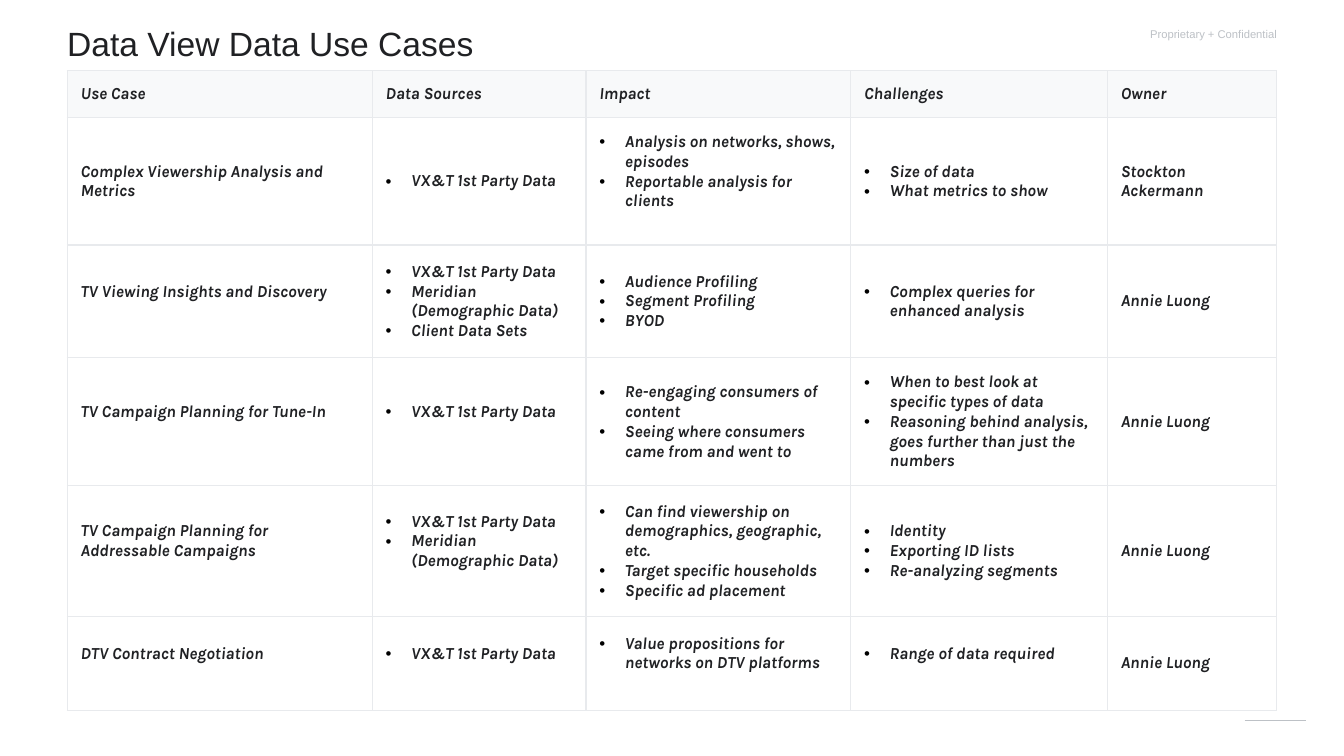
from dataclasses import dataclass

from lxml.etree import SubElement
from pptx import Presentation
from pptx.dml.color import RGBColor
from pptx.enum.shapes import MSO_CONNECTOR
from pptx.enum.text import MSO_ANCHOR, PP_ALIGN
from pptx.oxml.ns import qn
from pptx.util import Inches, Pt


@dataclass(frozen=True)
class Theme:
    ink: str = "202124"
    muted: str = "BDC1C6"
    border: str = "E8EAED"
    header_fill: str = "F8F9FA"
    bullet: str = "000000"
    heading_font: str = "Arial"
    table_font: str = "Karla"
    title_size: float = 18
    table_size: float = 9
    label_size: float = 6
    line_width: float = 0.75


def write_text(paragraph, text, *, font, size, color, bold=False, italic=False):
    run = paragraph.add_run()
    run.text = text
    run.font.name = font
    run.font.size = Pt(size)
    run.font.bold = bold
    run.font.italic = italic
    run.font.color.rgb = RGBColor.from_string(color)


class SlideBuilder:
    """Places elements on a grid of 100 columns; rows have the same pitch."""

    COLUMNS = 100
    PADDING = 1
    RAISE = 1.45
    BULLET_INDENT = 1.9

    def __init__(self, presentation, theme):
        self.theme = theme
        self.slide = presentation.slides.add_slide(presentation.slide_layouts[6])
        self.pitch = presentation.slide_width / self.COLUMNS

    def grid(self, *units):
        return [round(unit * self.pitch) for unit in units]

    def text(self, text, box, *, size, color, align=PP_ALIGN.LEFT,
             anchor=MSO_ANCHOR.TOP, spacing=1.0):
        frame = self.slide.shapes.add_textbox(*self.grid(*box)).text_frame
        frame.word_wrap = True
        frame.vertical_anchor = anchor
        frame.margin_left = frame.margin_right = 0
        frame.margin_top = frame.margin_bottom = 0
        paragraph = frame.paragraphs[0]
        paragraph.alignment = align
        paragraph.line_spacing = spacing
        write_text(paragraph, text, font=self.theme.heading_font, size=size, color=color)

    def line(self, start, end):
        connector = self.slide.shapes.add_connector(
            MSO_CONNECTOR.STRAIGHT, *self.grid(*start, *end))
        connector.line.color.rgb = RGBColor.from_string(self.theme.muted)
        connector.line.width = Pt(self.theme.line_width)
        SubElement(connector._element.spPr, qn("a:effectLst"))

    def table(self, corner, widths, heights, rows):
        table = self.slide.shapes.add_table(
            len(heights), len(widths),
            *self.grid(*corner, sum(widths), sum(heights))).table
        table.first_row = table.horz_banding = False
        for column, width in zip(table.columns, self.grid(*widths)):
            column.width = width
        for row, height in zip(table.rows, self.grid(*heights)):
            row.height = height
        for row_index, (raised, contents) in enumerate(rows):
            for column_index, content in enumerate(contents):
                self.cell(table.cell(row_index, column_index), content,
                          header=row_index == 0, raised=column_index in raised)

    def cell(self, cell, content, *, header, raised):
        theme = self.theme
        cell.vertical_anchor = MSO_ANCHOR.MIDDLE
        padding, = self.grid(self.PADDING)
        cell.margin_left = cell.margin_right = cell.margin_top = padding
        # A raised cell keeps one line free below its text
        cell.margin_bottom, = self.grid(self.PADDING + self.RAISE * raised)
        self.borders(cell)
        if header:
            cell.fill.solid()
            cell.fill.fore_color.rgb = RGBColor.from_string(theme.header_fill)
        else:
            cell.fill.background()
        bulleted = isinstance(content, list)
        frame = cell.text_frame
        for index, text in enumerate(content if bulleted else [content]):
            paragraph = frame.add_paragraph() if index else frame.paragraphs[0]
            if bulleted:
                self.bullet(paragraph)
            write_text(paragraph, text, font=theme.table_font, size=theme.table_size,
                       color=theme.ink, bold=True, italic=True)

    def borders(self, cell):
        properties = cell._tc.get_or_add_tcPr()
        for side in ("lnL", "lnR", "lnT", "lnB"):
            line = SubElement(properties, qn(f"a:{side}"), w=str(Pt(self.theme.line_width)))
            fill = SubElement(line, qn("a:solidFill"))
            SubElement(fill, qn("a:srgbClr"), val=self.theme.border)

    def bullet(self, paragraph):
        properties = paragraph._p.get_or_add_pPr()
        indent, = self.grid(self.BULLET_INDENT)
        properties.set("marL", str(indent))
        properties.set("indent", str(-indent))
        color = SubElement(properties, qn("a:buClr"))
        SubElement(color, qn("a:srgbClr"), val=self.theme.bullet)
        SubElement(properties, qn("a:buFont"), typeface=self.theme.heading_font)
        SubElement(properties, qn("a:buChar"), char="•")


FIRST_PARTY = "VX&T 1st Party Data"
DEMOGRAPHIC = "Meridian (Demographic Data)"
OWNER = "Annie Luong"

# Each row: the columns whose text is raised, then the cell contents
USE_CASES = [
    ((), ["Use Case", "Data Sources", "Impact", "Challenges", "Owner"]),
    ((2,), ["Complex Viewership Analysis and Metrics",
            [FIRST_PARTY],
            ["Analysis on networks, shows, episodes", "Reportable analysis for clients"],
            ["Size of data", "What metrics to show"],
            "Stockton Ackermann"]),
    ((0,), ["TV Viewing Insights and Discovery",
            [FIRST_PARTY, DEMOGRAPHIC, "Client Data Sets"],
            ["Audience Profiling", "Segment Profiling", "BYOD"],
            ["Complex queries for enhanced analysis"],
            OWNER]),
    ((0, 1), ["TV Campaign Planning for Tune-In",
              [FIRST_PARTY],
              ["Re-engaging consumers of content",
               "Seeing where consumers came from and went to"],
              ["When to best look at specific types of data",
               "Reasoning behind analysis, goes further than just the numbers"],
              OWNER]),
    ((0, 1), ["TV Campaign Planning for Addressable Campaigns",
              [FIRST_PARTY, DEMOGRAPHIC],
              ["Can find viewership on demographics, geographic, etc.",
               "Target specific households", "Specific ad placement"],
              ["Identity", "Exporting ID lists", "Re-analyzing segments"],
              OWNER]),
    ((0, 1, 2, 3), ["DTV Contract Negotiation",
                    [FIRST_PARTY],
                    ["Value propositions for networks on DTV platforms"],
                    ["Range of data required"],
                    OWNER]),
]


def main():
    presentation = Presentation()
    presentation.slide_width = Inches(10)
    presentation.slide_height = presentation.slide_width * 9 // 16
    theme = Theme()
    builder = SlideBuilder(presentation, theme)

    # Confidentiality label and footer rule
    builder.text("Proprietary + Confidential", (74, 0, 21, 5), size=theme.label_size,
                 color=theme.muted, align=PP_ALIGN.RIGHT, anchor=MSO_ANCHOR.MIDDLE)
    builder.line((92.6, 53.63), (97.2, 53.63))

    # Title
    builder.text("Data View Data Use Cases", (5, 1.25, 44.6, 10.9),
                 size=theme.title_size, color=theme.ink, spacing=1.15)

    # Use case table: rows grow to fit their text
    builder.table((5, 5.25), widths=(22.7, 15.9, 19.7, 19.1, 12.6),
                  heights=(3.2, 8.4, 8.4, 8.4, 9.7, 7), rows=USE_CASES)

    presentation.save("out.pptx")


if __name__ == "__main__":
    main()
